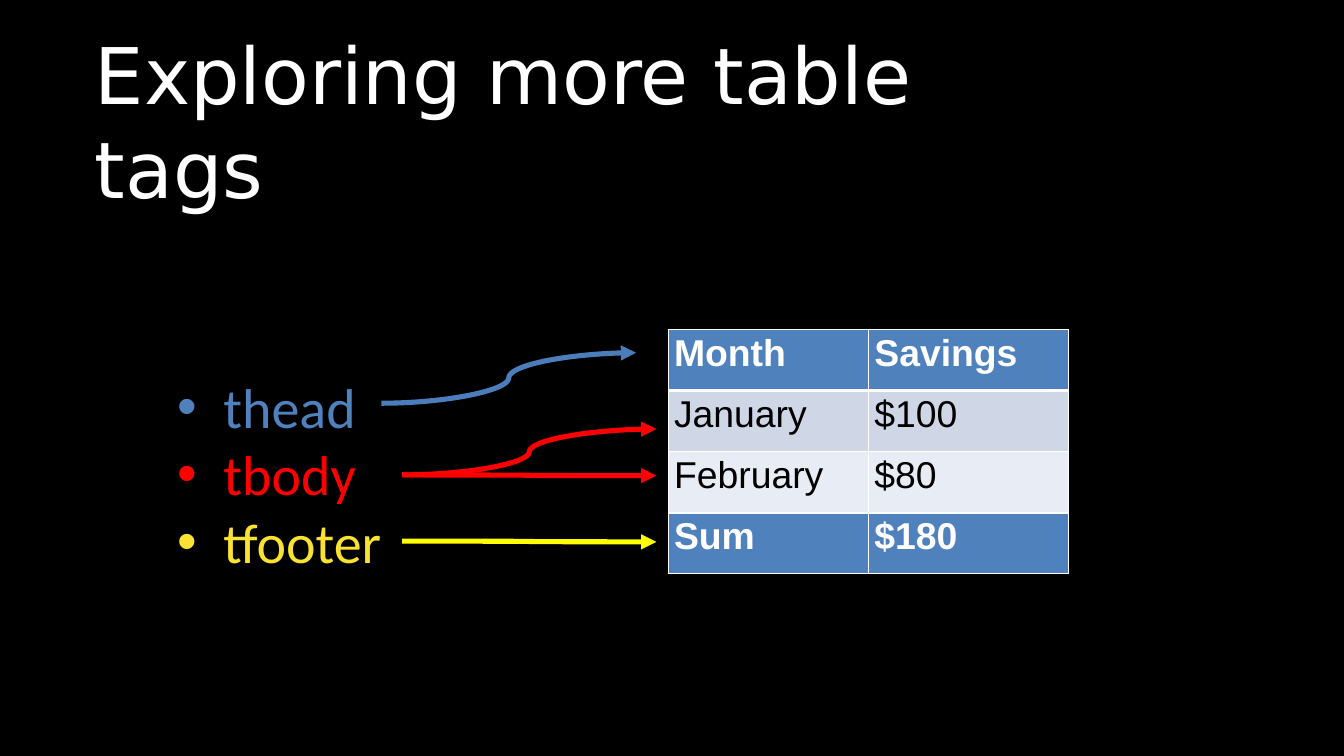
"""Build the slide that links table section tags to the rows of a savings table."""
from dataclasses import dataclass

from lxml.etree import SubElement
from pptx import Presentation
from pptx.dml.color import RGBColor
from pptx.enum.shapes import MSO_CONNECTOR as Link
from pptx.enum.text import MSO_ANCHOR as Anchor, MSO_AUTO_SIZE as AutoSize, PP_ALIGN as Align
from pptx.oxml import parse_xml
from pptx.oxml.ns import nsdecls, qn
from pptx.slide import Slide
from pptx.table import _Cell as Cell
from pptx.text.text import TextFrame, _Paragraph as Paragraph
from pptx.util import Cm, Pt


@dataclass(frozen=True)
class Theme:
    """Colours, fonts and type sizes."""
    black: str = "000000"
    white: str = "FFFFFF"
    blue: str = "4F81BD"
    arrow_blue: str = "4A7DBA"
    red: str = "FF0000"
    gold: str = "FAE232"
    yellow: str = "FFFF00"
    band_dark: str = "CFD7E7"
    band_light: str = "E8ECF4"
    title_font: str = "DejaVu Sans"
    list_font: str = "Calibri"
    table_font: str = "Arial"
    title_size: int = 92
    list_size: int = 66
    table_size: int = 44
    arrow_width: int = 6
    border: int = 1
    section_border: int = 3


THEME = Theme()


@dataclass(frozen=True)
class Tag:
    """A bulleted tag name."""
    name: str
    colour: str


@dataclass(frozen=True)
class Arrow:
    """A curved arrow, with its ends in centimetres."""
    start: tuple[float, float]
    end: tuple[float, float]
    colour: str


@dataclass(frozen=True)
class Row:
    """A table row with its look and its top and bottom border widths."""
    texts: tuple[str, str]
    fill: str
    colour: str = THEME.black
    bold: bool = False
    top: int = THEME.border
    bottom: int = THEME.border


TAGS = (Tag("thead", THEME.blue), Tag("tbody", THEME.red), Tag("tfooter", THEME.gold))
BODY_START = (16.71, 19.74)
ARROWS = (
    Arrow((15.85, 16.76), (26.44, 14.66), THEME.arrow_blue),
    Arrow(BODY_START, (27.28, 17.83), THEME.red),
    Arrow(BODY_START, (27.28, 19.77), THEME.red),
    Arrow((16.71, 22.49), (27.28, 22.52), THEME.yellow),
)
ROWS = (
    Row(("Month", "Savings"), THEME.blue, THEME.white, True, bottom=THEME.section_border),
    Row(("January", "$100"), THEME.band_dark, top=THEME.section_border),
    Row(("February", "$80"), THEME.band_light, bottom=THEME.section_border),
    Row(("Sum", "$180"), THEME.blue, THEME.white, True, top=THEME.section_border),
)


def write(para: Paragraph, text: str, *, font: str, size: int, colour: str,
          bold: bool = False) -> None:
    """Add formatted text to a paragraph."""
    span = para.add_run()
    span.text = text
    span.font.name = font
    span.font.size = Pt(size)
    span.font.bold = bold
    span.font.color.rgb = RGBColor.from_string(colour)


def prepare(frame: TextFrame) -> None:
    """Give a frame wrapped, top-anchored text without insets."""
    frame.auto_size = AutoSize.NONE
    frame.word_wrap = True
    frame.vertical_anchor = Anchor.TOP
    frame.margin_left = frame.margin_top = frame.margin_right = frame.margin_bottom = 0


def add_title(slide: Slide, text: str) -> None:
    """Place and format the title placeholder."""
    title = slide.shapes.title
    title.left, title.top, title.width, title.height = Cm(3.94), Cm(1.09), Cm(40.51), Cm(7.87)
    prepare(title.text_frame)
    para = title.text_frame.paragraphs[0]
    para.alignment = Align.LEFT
    write(para, text, font=THEME.title_font, size=THEME.title_size, colour=THEME.white)


def add_tags(slide: Slide) -> None:
    """Add the bulleted list of tags."""
    box = slide.shapes.add_textbox(Cm(7.39), Cm(15.49), Cm(9.32), Cm(8.46))
    frame = box.text_frame
    prepare(frame)
    for index, tag in enumerate(TAGS):
        para = frame.add_paragraph() if index else frame.paragraphs[0]
        properties = para._p.get_or_add_pPr()
        properties.set("marL", str(Cm(1.9)))
        properties.set("indent", str(Cm(-1.9)))
        SubElement(SubElement(properties, qn("a:buClr")), qn("a:srgbClr")).set("val", tag.colour)
        SubElement(properties, qn("a:buFont")).set("typeface", THEME.table_font)
        SubElement(properties, qn("a:buChar")).set("char", "•")
        write(para, tag.name, font=THEME.list_font, size=THEME.list_size, colour=tag.colour)


def set_borders(cell: Cell, row: Row) -> None:
    """Draw the four white borders of a cell."""
    widths = {"lnL": THEME.border, "lnR": THEME.border, "lnT": row.top, "lnB": row.bottom}
    properties = cell._tc.get_or_add_tcPr()
    for index, (side, width) in enumerate(widths.items()):
        properties.insert(index, parse_xml(
            f'<a:{side} {nsdecls("a")} w="{Pt(width)}"><a:solidFill>'
            f'<a:srgbClr val="{THEME.white}"/></a:solidFill></a:{side}>'))


def add_savings(slide: Slide) -> None:
    """Add the savings table."""
    table = slide.shapes.add_table(len(ROWS), len(ROWS[0].texts), Cm(27.76), Cm(13.69),
                                   Cm(16.66), Cm(10.16)).table
    table.horz_banding = False
    for row_index, row in enumerate(ROWS):
        for column_index, text in enumerate(row.texts):
            cell = table.cell(row_index, column_index)
            cell.fill.solid()
            cell.fill.fore_color.rgb = RGBColor.from_string(row.fill)
            set_borders(cell, row)
            write(cell.text_frame.paragraphs[0], text, font=THEME.table_font,
                  size=THEME.table_size, colour=row.colour, bold=row.bold)


def add_arrow(slide: Slide, arrow: Arrow) -> None:
    """Add one curved arrow."""
    ends = [Cm(value) for value in (*arrow.start, *arrow.end)]
    connector = slide.shapes.add_connector(Link.CURVE, *ends)
    connector.line.width = Pt(THEME.arrow_width)
    connector.line.color.rgb = RGBColor.from_string(arrow.colour)
    SubElement(connector.line._get_or_add_ln(), qn("a:tailEnd")).set("type", "triangle")
    SubElement(connector._element.spPr, qn("a:effectLst"))


def main() -> None:
    """Create and save the deck."""
    deck = Presentation()
    deck.slide_width, deck.slide_height = Cm(55.86), Cm(31.42)
    page = deck.slides.add_slide(deck.slide_layouts[5])
    page.background.fill.solid()
    page.background.fill.fore_color.rgb = RGBColor.from_string(THEME.black)
    add_title(page, "Exploring more table tags")
    add_tags(page)
    add_savings(page)
    for arrow in ARROWS:
        add_arrow(page, arrow)
    deck.save("out.pptx")


if __name__ == "__main__":
    main()
